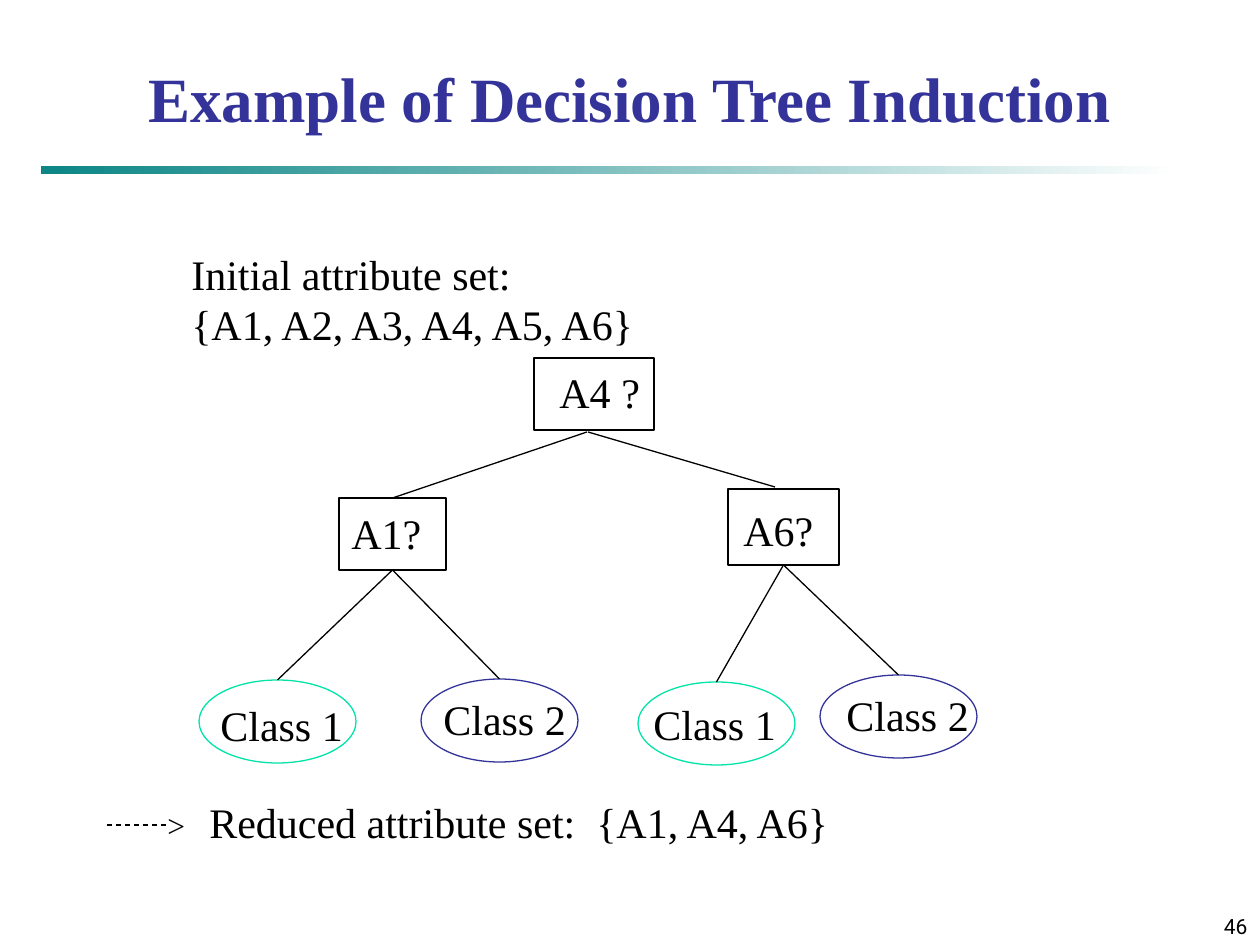
from lxml.etree import SubElement
from pptx import Presentation
from pptx.dml.color import RGBColor
from pptx.enum.dml import MSO_LINE
from pptx.enum.shapes import MSO_CONNECTOR, MSO_SHAPE
from pptx.enum.text import MSO_ANCHOR, MSO_AUTO_SIZE, PP_ALIGN
from pptx.oxml.ns import qn
from pptx.util import Pt

PX = 914400 / 126
BLACK = RGBColor(0x00, 0x00, 0x00)
WHITE = RGBColor(0xFF, 0xFF, 0xFF)
NAVY = RGBColor(0x33, 0x33, 0x99)
TEAL = RGBColor(0x00, 0x80, 0x80)
MINT = RGBColor(0x00, 0xE4, 0xA8)
SERIF = "Times New Roman"


def emu(*lengths):
    return [round(length * PX) for length in lengths]


def add_text(box, text, size=24, color=BLACK, bold=False, wrap=False, font=SERIF):
    """Add a text box at box = (left, top, width, height) in px."""
    frame = slide.shapes.add_textbox(*emu(*box)).text_frame
    frame.text = text
    frame.word_wrap = wrap
    frame.auto_size = MSO_AUTO_SIZE.SHAPE_TO_FIT_TEXT
    for paragraph in frame.paragraphs:
        for run in paragraph.runs:
            run.font.name = font
            run.font.size = Pt(size)
            run.font.bold = bold
            run.font.color.rgb = color
    return frame


prs = Presentation()
prs.slide_width, prs.slide_height = emu(1260, 945)
slide = prs.slides.add_slide(prs.slide_layouts[6])

# Title, fading rule and page number
rule = slide.shapes.add_shape(MSO_SHAPE.RECTANGLE, *emu(42, 167, 1134, 7))
rule.shadow.inherit = False
rule.line.fill.background()
rule.fill.gradient()
rule.fill.gradient_angle = 0
for stop, color, position in zip(rule.fill.gradient_stops, (TEAL, WHITE), (0, 1)):
    stop.color.rgb = color
    stop.position = position
teal_stop = next(rule.fill._xPr.iter(qn("a:srgbClr")))
SubElement(teal_stop, qn("a:alpha"), val="95000")

add_text((136, 53, 1061, 88), "Example of Decision Tree Induction", 36, NAVY, bold=True, wrap=True)
page_number = add_text((998, 892, 262, 53), "46", 12, wrap=True, font="Roboto")
page_number.auto_size = MSO_AUTO_SIZE.NONE
page_number.vertical_anchor = MSO_ANCHOR.BOTTOM
page_number.paragraphs[0].alignment = PP_ALIGN.RIGHT

add_text((179, 242, 479, 113), "Initial attribute set:\n{A1, A2, A3, A4, A5, A6}")

# Tree nodes: name, preset, outline box, outline colour, label, label box
RECT, OVAL = MSO_SHAPE.RECTANGLE, MSO_SHAPE.OVAL
tree_nodes = [
    ("A4", RECT, (534, 358, 120, 72), BLACK, "A4 ?", (547, 360, 122, 63)),
    ("A1", RECT, (339, 498, 107, 72), BLACK, "A1?", (339, 501, 98, 63)),
    ("A6", RECT, (728, 489, 111, 76), BLACK, "A6?", (731, 498, 98, 63)),
    ("A1 left", OVAL, (199, 680, 157, 83), MINT, "Class 1", (208, 693, 156, 63)),
    ("A1 right", OVAL, (421, 679, 157, 83), NAVY, "Class 2", (431, 687, 156, 63)),
    ("A6 left", OVAL, (638, 682, 157, 83), MINT, "Class 1", (641, 692, 156, 63)),
    ("A6 right", OVAL, (820, 675, 157, 83), NAVY, "Class 2", (834, 683, 156, 63)),
]
nodes = {}
for name, preset, box, color, label, label_box in tree_nodes:
    node = slide.shapes.add_shape(preset, *emu(*box))
    node.shadow.inherit = False
    node.fill.background()
    node.line.color.rgb = color
    node.line.width = Pt(0.75)
    nodes[name] = node
    # Wrapping stays on: the label boxes are wider than their words
    add_text(label_box, label, wrap=True)

# Branches and the dashed arrow shaft: ends in px, then the nodes they join
lines = [
    ((587, 432, 392, 498), None, "A1"),
    ((588, 432, 775, 487), None, None),
    ((389, 571, 278, 678), "A1", "A1 left"),
    ((389, 571, 495, 680), "A1", "A1 right"),
    ((784, 567, 713, 682), "A6", "A6 left"),
    ((788, 565, 898, 674), "A6", "A6 right"),
    ((107, 825, 168, 825), None, None),
]
for ends, parent, child in lines:
    line = slide.shapes.add_connector(MSO_CONNECTOR.STRAIGHT, *emu(*ends))
    line.line.color.rgb = BLACK
    line.line.width = Pt(0.75)
    SubElement(line._element.spPr, qn("a:effectLst"))
    if parent:
        line.begin_connect(nodes[parent], 2)
    if child:
        line.end_connect(nodes[child], 0)
line.line.dash_style = MSO_LINE.DASH

add_text((155, 800, 43, 50), ">", 18)
add_text((197, 790, 649, 63), "Reduced attribute set:  {A1, A4, A6}")

prs.save("out.pptx")
